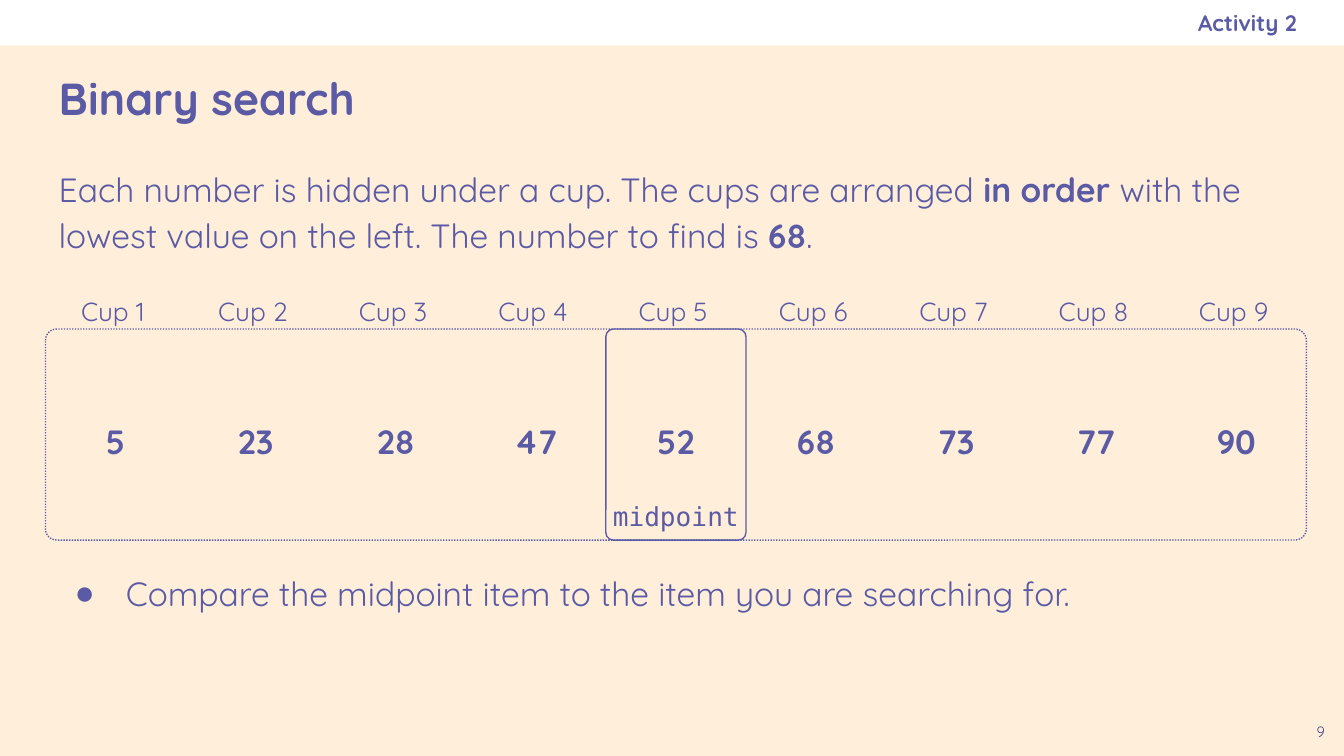
from lxml import etree
from pptx import Presentation
from pptx.dml.color import RGBColor
from pptx.enum.dml import MSO_LINE
from pptx.enum.shapes import MSO_SHAPE
from pptx.enum.text import MSO_ANCHOR, MSO_AUTO_SIZE, PP_ALIGN
from pptx.oxml.ns import qn
from pptx.util import Cm, Pt

LEFT, CENTER, RIGHT = PP_ALIGN.LEFT, PP_ALIGN.CENTER, PP_ALIGN.RIGHT
TOP, MIDDLE = MSO_ANCHOR.TOP, MSO_ANCHOR.MIDDLE
DOTTED = MSO_LINE.ROUND_DOT
RECT, ROUNDED = MSO_SHAPE.RECTANGLE, MSO_SHAPE.ROUNDED_RECTANGLE

HEADING = "Binary search"
ACTIVITY = "Activity 2"
PAGE = "9"
INTRO = [
    ("Each number is hidden under a cup. The cups are arranged ", False),
    ("in order ", True),
    ("with the lowest value on the left. The number to find is ", False),
    ("68", True),
    (".", False),
]
STEP = "Compare the midpoint item to the item you are searching for."
CUP_VALUES = [5, 23, 28, 47, 52, 68, 73, 77, 90]
MIDPOINT_LABEL = "midpoint"

FONT, CODE_FONT = "Quicksand", "DejaVu Sans Mono"
INK, PAGE_INK, CREAM, WHITE = "5B5BA5", "494985", "FFEFDA", "FFFFFF"

# Lengths in centimetres
SLIDE_W, SLIDE_H = 25.4, 14.29
MARGIN, CONTENT_W = 0.86, 23.67
BAR_H = 0.86
ROW_TOP, ROW_W, ROW_H = 6.22, 23.83, 3.99
CUP_W = ROW_W / len(CUP_VALUES)
LABEL_H = 1.07
PAD = 0.25


def color(hex_code):
    return RGBColor.from_string(hex_code)


def place(shape, left, top, width, height):
    shape.left, shape.top = Cm(left), Cm(top)
    shape.width, shape.height = Cm(width), Cm(height)


def set_bullet(paragraph, char=None):
    """Give the paragraph a hanging bullet, or none when char is empty."""
    props = paragraph._p.get_or_add_pPr()
    props.set("marL", str(Cm(1.27) if char else 0))
    props.set("indent", str(Cm(-0.97) if char else 0))
    if char:
        bullet_color = etree.SubElement(props, qn("a:buClr"))
        etree.SubElement(bullet_color, qn("a:srgbClr"), val=INK)
        etree.SubElement(props, qn("a:buChar"), char=char)
    else:
        etree.SubElement(props, qn("a:buNone"))


def write(shape, text, size=18, bold=False, font=FONT, ink=INK, align=LEFT,
          anchor=TOP, spacing=1.0, after=0, insets=(PAD, PAD, PAD, PAD),
          bullet=None):
    """Fill the shape with a string or a list of (text, bold) pieces."""
    frame = shape.text_frame
    frame.auto_size = MSO_AUTO_SIZE.NONE
    frame.word_wrap = True
    frame.vertical_anchor = anchor
    (frame.margin_left, frame.margin_top,
     frame.margin_right, frame.margin_bottom) = map(Cm, insets)
    paragraph = frame.paragraphs[0]
    set_bullet(paragraph, bullet)
    paragraph.alignment = align
    paragraph.line_spacing = spacing
    paragraph.space_before, paragraph.space_after = Pt(0), Pt(after)
    pieces = [(text, bold)] if isinstance(text, str) else text
    for piece, piece_bold in pieces:
        run = paragraph.add_run()
        run.text = piece
        run.font.name, run.font.size = font, Pt(size)
        run.font.bold = piece_bold
        run.font.color.rgb = color(ink)


def add_text(slide, box, text, **text_format):
    write(slide.shapes.add_textbox(*map(Cm, box)), text, **text_format)


def add_outline(slide, box, dash=None):
    outline = slide.shapes.add_shape(ROUNDED, *map(Cm, box))
    outline.adjustments[0] = 0.054
    outline.shadow.inherit = False
    outline.fill.background()
    outline.line.color.rgb = color(INK)
    outline.line.width = Pt(0.75)
    if dash:
        outline.line.dash_style = dash


def add_cups(slide):
    middle = len(CUP_VALUES) // 2
    add_outline(slide, (MARGIN, ROW_TOP, ROW_W, ROW_H), dash=DOTTED)
    for i, value in enumerate(CUP_VALUES):
        left = MARGIN + i * CUP_W
        add_text(slide, (left, 7.59, CUP_W, 1.3), str(value), bold=True,
                 align=CENTER, spacing=1.15, after=16)
        add_text(slide, (left - 0.05, 5.31, CUP_W, LABEL_H), f"Cup {i + 1}",
                 size=14, align=CENTER, anchor=MIDDLE, spacing=1.15,
                 insets=(PAD, 0, PAD, 0))
    left = MARGIN + middle * CUP_W
    add_text(slide, (left, 9.12, CUP_W, LABEL_H), MIDPOINT_LABEL, size=14,
             font=CODE_FONT, align=CENTER, spacing=1.15, after=16,
             insets=(0, PAD, 0, PAD))
    add_outline(slide, (left, ROW_TOP, CUP_W, ROW_H))


def main():
    deck = Presentation()
    deck.slide_width, deck.slide_height = Cm(SLIDE_W), Cm(SLIDE_H)
    slide = deck.slides.add_slide(deck.slide_layouts[3])
    slide.background.fill.solid()
    slide.background.fill.fore_color.rgb = color(CREAM)

    bar = slide.shapes.add_shape(RECT, 0, 0, Cm(SLIDE_W), Cm(BAR_H))
    bar.shadow.inherit = False
    bar.fill.solid()
    bar.fill.fore_color.rgb = color(WHITE)
    bar.line.fill.background()

    heading, intro, steps = slide.placeholders
    place(heading, MARGIN, 0.86, CONTENT_W, 1.96)
    write(heading, HEADING, size=24, bold=True, anchor=MIDDLE)
    place(intro, MARGIN, 2.82, CONTENT_W, 2.11)
    write(intro, INTRO, spacing=1.15, after=16)
    place(steps, MARGIN, 10.46, CONTENT_W, 3.58)
    write(steps, STEP, spacing=1.15, bullet="●")

    add_text(slide, (14.6, 0, 9.91, BAR_H), ACTIVITY, size=12, bold=True,
             align=RIGHT, anchor=MIDDLE, insets=(PAD, PAD, 0, PAD))
    add_text(slide, (24.53, 13.41, 0.86, 0.86), PAGE, size=8, ink=PAGE_INK,
             align=CENTER)
    add_cups(slide)
    deck.save("out.pptx")


if __name__ == "__main__":
    main()
